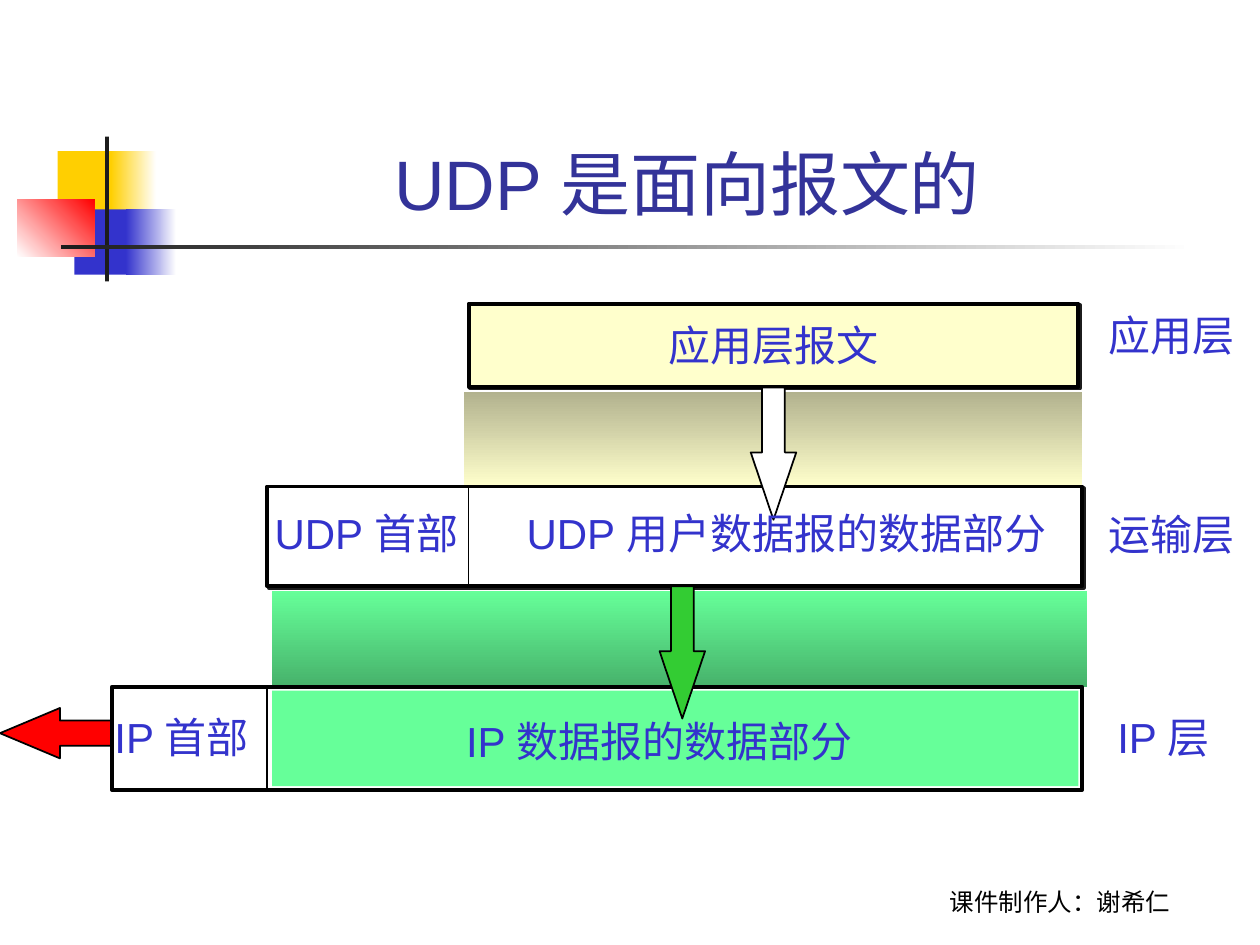
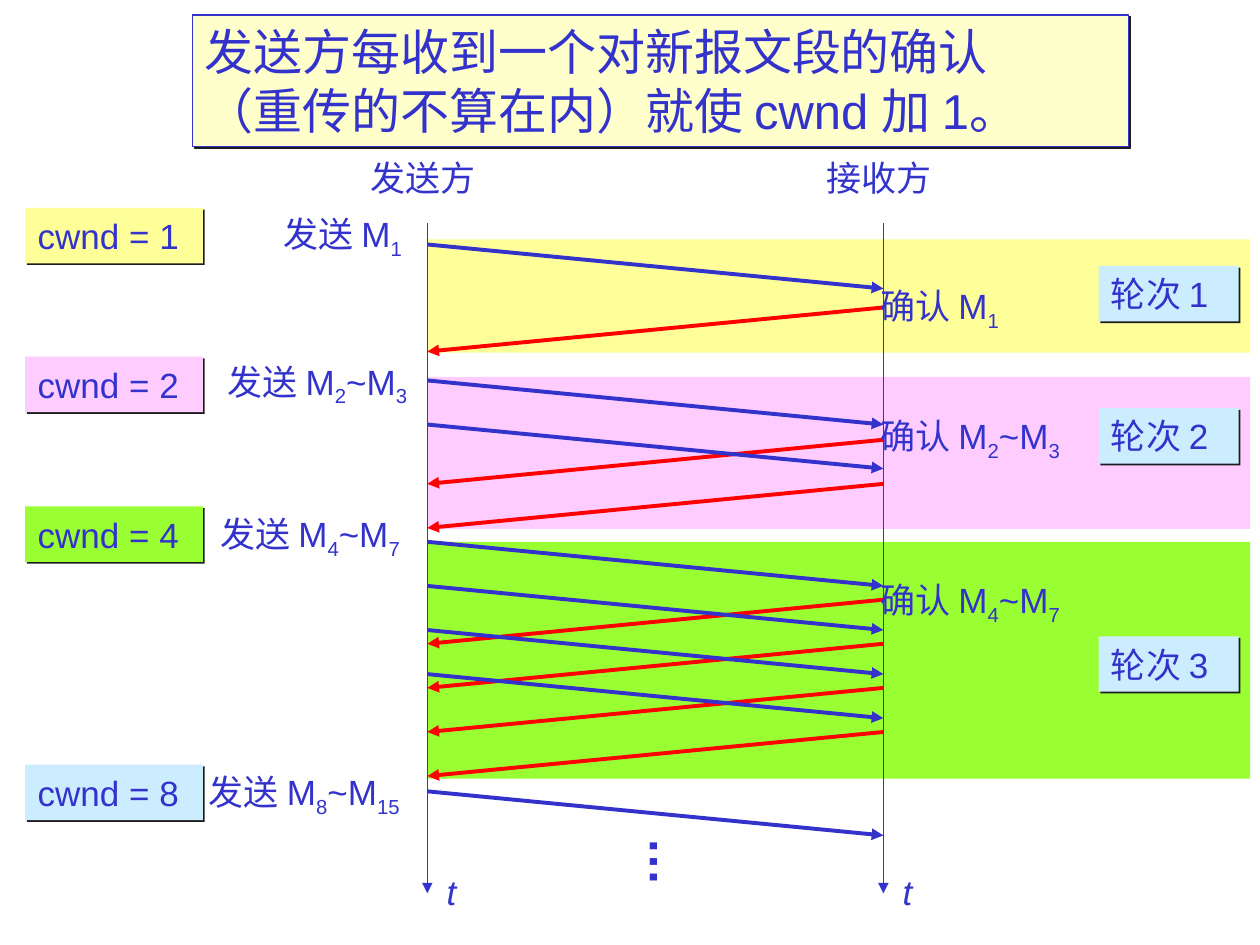
from lxml import etree
from pptx import Presentation
from pptx.dml.color import RGBColor
from pptx.enum.shapes import MSO_CONNECTOR, MSO_SHAPE
from pptx.enum.text import MSO_ANCHOR, MSO_AUTO_SIZE, PP_ALIGN
from pptx.oxml.ns import qn
from pptx.util import Pt

COLORS = {
    "blue": "3333CC", "navy": "333399", "black": "000000", "ink": "1C1C1C",
    "white": "FFFFFF", "gold": "FFCF01", "red": "FF0000", "green": "33CC33",
    "mint": "66FF99", "dark_mint": "47B26B", "cream": "FFFFCC",
    "dark_cream": "B2B28E", "yellow": "FFFF99", "pink": "FFCCFF",
    "lime": "99FF33", "sky": "CCECFF",
}
FONT = "Arial"
SENDER_X, RECEIVER_X = 244.2, 504.8
STEP = 25.2


def rgb(name):
    return RGBColor.from_string(COLORS[name])


def write(sp, text, size, color="blue", font=FONT, align=PP_ALIGN.LEFT,
          anchor=MSO_ANCHOR.TOP, wrap=True, bold=None, italic=None):
    tf = sp.text_frame
    tf.word_wrap = wrap
    tf.vertical_anchor = anchor
    if not wrap:
        tf.auto_size = MSO_AUTO_SIZE.SHAPE_TO_FIT_TEXT
    for i, line in enumerate(text.split("\n")):
        p = tf.add_paragraph() if i else tf.paragraphs[0]
        p.alignment = align
        p.font.name, p.font.size = font, Pt(size)
        p.font.bold, p.font.italic = bold, italic
        p.font.color.rgb = rgb(color)
        for j, part in enumerate(line.split("|")):
            r = p.add_run()
            r.text = part
            if j % 2:
                r._r.get_or_add_rPr().set("baseline", "-25000")


def add_text(s, box, text, size, **style):
    sp = s.shapes.add_textbox(*map(Pt, box))
    write(sp, text, size, **style)
    return sp


def add_label(s, left, top, width, text, size=20, **style):
    return add_text(s, (left, top, width, 1.5 * size), text, size, wrap=False, **style)


def add_box(s, box, fill, line=None, width=1, shadow=False, shape=MSO_SHAPE.RECTANGLE):
    sp = s.shapes.add_shape(shape, *map(Pt, box))
    sp.shadow.inherit = False
    sp.fill.solid()
    sp.fill.fore_color.rgb = rgb(fill)
    if line:
        sp.line.color.rgb = rgb(line)
        sp.line.width = Pt(width)
    else:
        sp.line.fill.background()
    if shadow:
        effects = sp._element.spPr.find(qn("a:effectLst"))
        outer = etree.SubElement(effects, qn("a:outerShdw"), blurRad="0",
                                 dist="18000", dir="2700000", algn="ctr")
        etree.SubElement(outer, qn("a:srgbClr"), val=COLORS["ink"])
    return sp


def add_gradient(s, box, start, end, angle=0):
    sp = add_box(s, box, start)
    sp.fill.gradient()
    sp.fill.gradient_angle = angle
    for stop, color in zip(sp.fill.gradient_stops, (start, end)):
        stop.color.rgb = rgb(color)


def add_block_arrow(s, box, fill, shape, head):
    sp = add_box(s, box, fill, "black", shape=shape)
    sp.adjustments[1] = head


def add_line(s, start, end, color, width, arrow=False):
    c = s.shapes.add_connector(MSO_CONNECTOR.STRAIGHT, *map(Pt, (*start, *end)))
    c.line.color.rgb = rgb(color)
    c.line.width = Pt(width)
    if arrow:
        etree.SubElement(c.line._get_or_add_ln(), qn("a:tailEnd"), type="triangle")
    etree.SubElement(c._element.spPr, qn("a:effectLst"))


def add_tag(s, left, top, width, fill, text):
    sp = add_box(s, (left, top, width, 31.7), fill, shadow=True)
    write(sp, text, 20, anchor=MSO_ANCHOR.MIDDLE)


def add_title_ornament(s):
    add_box(s, (33, 86.4, 34.6, 37.4), "gold")
    add_gradient(s, (63.4, 86.4, 25.9, 37.4), "gold", "white")
    add_box(s, (42.5, 119.6, 33, 37.4), "blue")
    add_gradient(s, (72, 119.6, 28.8, 37.4), "blue", "white")
    add_gradient(s, (10, 113.8, 44, 33), "white", "red", 45)
    add_box(s, (60, 78, 2.3, 82.8), "ink")
    add_gradient(s, (34.6, 140.2, 648, 2.3), "ink", "white")


def build_encapsulation(s):
    add_title_ornament(s)
    add_text(s, (491.8, 491, 228, 36), "课件制作人：谢希仁", 14, color="black",
             font="Cabin", align=PP_ALIGN.CENTER, anchor=MSO_ANCHOR.BOTTOM)
    add_text(s, (90.7, 16.6, 604, 115.2), "UDP 是面向报文的", 40, color="navy",
             align=PP_ALIGN.CENTER, anchor=MSO_ANCHOR.BOTTOM)

    add_block_arrow(s, (0, 404.6, 67.7, 28.8), "red", MSO_SHAPE.LEFT_ARROW, 1.19)
    add_gradient(s, (155.5, 337.7, 465.8, 54.7), "mint", "dark_mint", 270)
    add_gradient(s, (265, 224, 353.5, 54), "dark_cream", "cream", 270)
    add_box(s, (152.6, 278, 465.8, 56.9), "white", "black", 2.25, shadow=True)
    add_box(s, (64, 392.4, 554.4, 59), "white", "black", 2.25)
    add_box(s, (155.5, 394.6, 460.8, 54.7), "mint")
    message = add_box(s, (267.8, 173.5, 348.5, 47.5), "cream", "black", 2.25, shadow=True)
    write(message, "应用层报文", 24, align=PP_ALIGN.CENTER, anchor=MSO_ANCHOR.MIDDLE)
    for x, top, bottom in ((267.8, 278, 334.8), (152.6, 392.4, 451.4)):
        add_line(s, (x, top), (x, bottom), "black", 1)

    for left, top, fill in ((376.9, 335, "green"), (429, 221.4, "white")):
        add_block_arrow(s, (left, top, 26, 75.6), fill, MSO_SHAPE.DOWN_ARROW, 1.48)

    for left, top, width, text in (
        (259.2, 405.4, 245, "IP 数据报的数据部分"),
        (58.3, 403.2, 100, "IP 首部"),
        (631.4, 403.2, 76, "IP 层"),
        (149.8, 286.6, 130, "UDP 首部"),
        (293.8, 286.6, 322, "UDP 用户数据报的数据部分"),
        (626.4, 287.3, 90, "运输层"),
        (626.4, 173.5, 90, "应用层"),
    ):
        add_label(s, left, top, width, text, 24)


def add_exchange(s, count, send_top, ack_top):
    for i in range(count):
        y = ack_top + i * STEP
        add_line(s, (RECEIVER_X, y), (SENDER_X, y + STEP), "red", 2.25, arrow=True)
    for i in range(count):
        y = send_top + i * STEP
        add_line(s, (SENDER_X, y), (RECEIVER_X, y + STEP), "blue", 2.25, arrow=True)


def build_slow_start(s):
    rounds = (
        ("yellow", 136.8, 64.8, 1, 139.7, 175.7, "M|1", 159, 152),
        ("pink", 215.3, 87, 2, 217.4, 251.3, "M|2|~M|3", 233.3, 233.3),
        ("lime", 309.6, 135.4, 4, 309.6, 342.7, "M|4|~M|7", 327, 363.6),
    )
    for fill, top, height, *_ in rounds:
        add_box(s, (SENDER_X, top, 470.2, height), fill)
    for number, row in enumerate(rounds, 1):
        _, _, _, count, send_top, ack_top, segments, text_top, tag_top = row
        add_exchange(s, count, send_top, ack_top)
        add_label(s, 496, text_top, 138, "确认 " + segments)
        add_tag(s, 627.8, tag_top, 80, "sky", f"轮次 {number}")
    add_line(s, (SENDER_X, 452.2), (RECEIVER_X, 452.2 + STEP), "blue", 2.25, arrow=True)

    for x, name, name_left in ((SENDER_X, "发送方", 204.5), (RECEIVER_X, "接收方", 465)):
        add_line(s, (x, 127.4), (x, 510.5), "blue", 0.75, arrow=True)
        add_label(s, name_left, 85.7, 84, name)
        add_label(s, x + 4, 494, 22, "t", italic=True)

    for size, fill, tag_top, left, top, segments in (
        (1, "yellow", 118.8, 154.8, 118, "M|1"),
        (2, "pink", 203.8, 123, 202.3, "M|2|~M|3"),
        (4, "lime", 289.4, 118.8, 289.4, "M|4|~M|7"),
        (8, "sky", 437, 112.3, 437, "M|8|~M|15"),
    ):
        add_tag(s, 14.4, tag_top, 101.5, fill, f"cwnd = {size}")
        add_label(s, left, top, 142, "发送 " + segments)

    dots = add_label(s, 360.7, 471.6, 42.5, "…", 28, bold=True)
    dots.rotation = 90
    rule = add_box(s, (110, 8.6, 535, 75), "cream", "blue", 0.75, shadow=True)
    write(rule, "发送方每收到一个对新报文段的确认\n（重传的不算在内）就使 cwnd 加 1。", 28)


def main():
    prs = Presentation()
    prs.slide_width, prs.slide_height = Pt(720), Pt(540)
    for build in (build_encapsulation, build_slow_start):
        build(prs.slides.add_slide(prs.slide_layouts[6]))
    prs.save("out.pptx")


if __name__ == "__main__":
    main()
